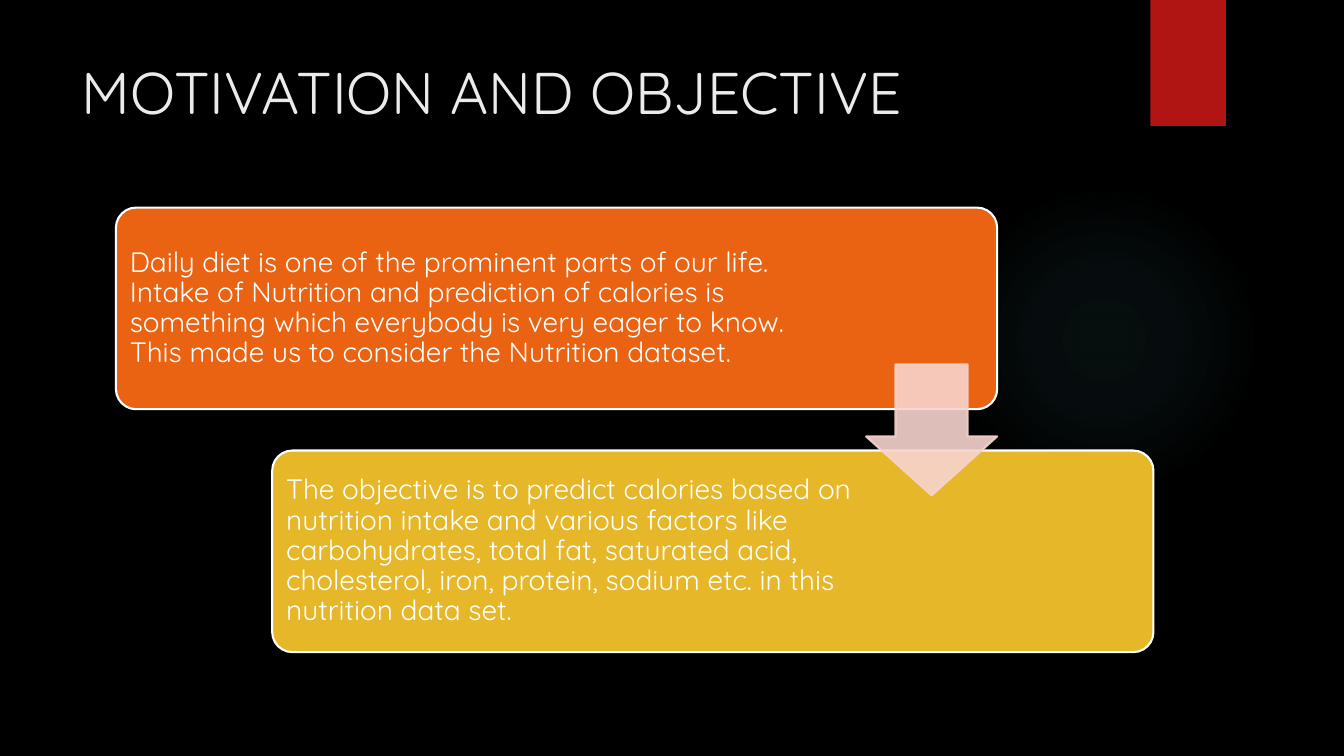
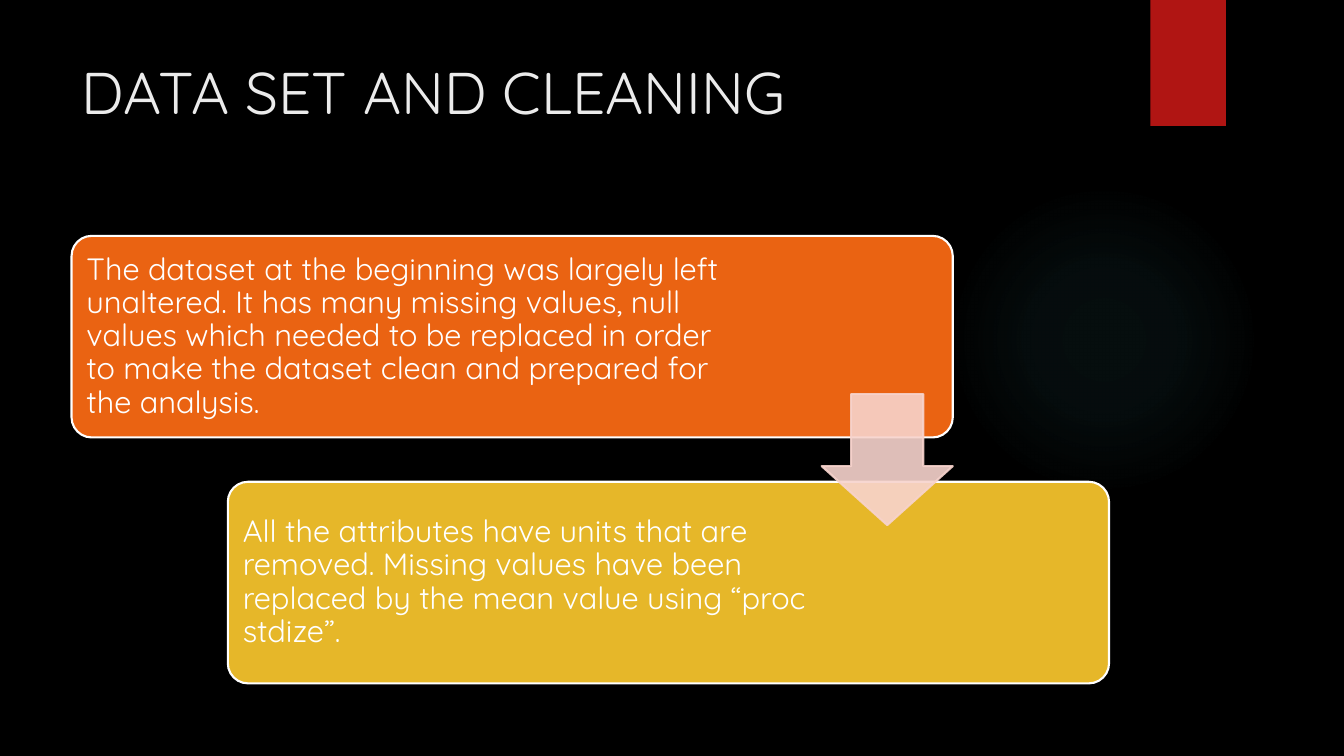
from dataclasses import dataclass

from pptx import Presentation
from pptx.dml.color import RGBColor
from pptx.enum import shapes, text
from pptx.oxml import parse_xml
from pptx.oxml.ns import nsdecls, qn
from pptx.oxml.xmlchemy import OxmlElement
from pptx.util import Inches, Pt


@dataclass(frozen=True)
class Theme:
    font: str = "Quicksand"
    background: str = "000000"
    title: str = "EBEBEB"
    body: str = "FFFFFF"
    outline: str = "FFFFFF"
    band: str = "B01513"
    glow: str = "50B9C1"
    arrow: str = "F7D3CC"
    cards: tuple = ("EA6312", "E6B729")
    title_size: int = 42
    line_width: float = 1.5


THEME = Theme()

SLIDES = [
    {
        "title": "MOTIVATION AND OBJECTIVE",
        "origin": (1.15, 2.06), "drop": 2.41, "size": 20, "inset": 0.08,
        "cards": [
            "Daily diet is one of the prominent parts of our life. Intake of Nutrition "
            "and prediction of calories is something which everybody is very eager to "
            "know. This made us to consider the Nutrition dataset.",
            "The objective is to predict calories based on nutrition intake and various "
            "factors like carbohydrates, total fat, saturated acid, cholesterol, iron, "
            "protein, sodium etc. in this nutrition data set.",
        ],
    },
    {
        "title": "DATA SET AND CLEANING",
        "origin": (0.71, 2.34), "drop": 2.44, "size": 22, "inset": 0.09,
        "cards": [
            "The dataset at the beginning was largely left unaltered. It has many "
            "missing values, null values which needed to be replaced in order to make "
            "the dataset clean and prepared for the analysis.",
            "All the attributes have units that are removed. Missing values have been "
            "replaced by the mean value using “proc stdize”.",
        ],
    },
]

TITLE_BOX = (0.71, 0.5, 10.29, 1.53)
GLOW_BOX = (9.41, 1.83, 3.08, 3.08)
BAND_BOX = (11.41, 0, 0.75, 1.25)
GLOW_STOPS = [(0, 7), (36, 6), (69, 0)]  # position and opacity, in percent
CARD_WIDTH, CARD_HEIGHT, CARD_SHIFT = 8.74, 2, 1.55
CORNER_INSET = 0.06  # text margin that the rounded corners already give
TEXT_WIDTHS = (6.68, 5.78)
ARROW_SIZE = 1.3


def color(value):
    return RGBColor.from_string(value)


def add_shape(slide, kind, box, fill=None, line=None):
    shape = slide.shapes.add_shape(kind, *map(Inches, box))
    shape.shadow.inherit = False
    if fill:
        shape.fill.solid()
        shape.fill.fore_color.rgb = color(fill)
    if line:
        shape.line.color.rgb = color(line)
        shape.line.width = Pt(THEME.line_width)
    else:
        shape.line.fill.background()
    return shape


def format_text(frame, size, ink):
    para = frame.paragraphs[0]
    para.alignment = text.PP_ALIGN.LEFT
    font = para.runs[0].font
    font.name, font.size = THEME.font, Pt(size)
    font.color.rgb = color(ink)
    return para


def set_opacity(shape, percent):
    for node in shape.element.spPr.iter(qn("a:srgbClr")):
        alpha = OxmlElement("a:alpha")
        alpha.set("val", str(percent * 1000))
        node.append(alpha)


def add_glow(slide):
    glow = add_shape(slide, shapes.MSO_SHAPE.OVAL, GLOW_BOX)
    stops = "".join(
        f'<a:gs pos="{place * 1000}"><a:srgbClr val="{THEME.glow}">'
        f'<a:alpha val="{opacity * 1000}"/></a:srgbClr></a:gs>'
        for place, opacity in GLOW_STOPS)
    gradient = parse_xml(
        f'<a:gradFill {nsdecls("a")}><a:gsLst>{stops}</a:gsLst><a:path path="circle">'
        '<a:fillToRect l="50000" t="50000" r="50000" b="50000"/></a:path></a:gradFill>')
    glow.element.spPr.find(qn("a:prstGeom")).addnext(gradient)
    return glow


def style_layout(layout, slide):
    """Set the shared title place and move glow and band from the slide to its layout."""
    layout.background.fill.solid()
    layout.background.fill.fore_color.rgb = color(THEME.background)
    title = layout.placeholders[0]
    title.left, title.top, title.width, title.height = map(Inches, TITLE_BOX)
    title.text_frame.vertical_anchor = text.MSO_ANCHOR.TOP
    decoration = [add_glow(slide),
                  add_shape(slide, shapes.MSO_SHAPE.RECTANGLE, BAND_BOX, THEME.band)]
    for index, shape in enumerate(decoration):
        shape.element.nvSpPr.cNvPr.set("id", str(100 + index))
        layout.shapes.element.insert(2 + index, shape.element)


def add_card(slide, content, index):
    left, top = content["origin"]
    box = (left + index * CARD_SHIFT, top + index * content["drop"],
           CARD_WIDTH, CARD_HEIGHT)
    card = add_shape(slide, shapes.MSO_SHAPE.ROUNDED_RECTANGLE, box,
                     THEME.cards[index], THEME.outline)
    card.adjustments[0] = 0.1
    frame = card.text_frame
    frame.word_wrap = True
    frame.vertical_anchor = text.MSO_ANCHOR.MIDDLE
    inset = content["inset"]
    frame.margin_left = frame.margin_top = frame.margin_bottom = Inches(inset)
    frame.margin_right = Inches(
        CARD_WIDTH - 2 * CORNER_INSET - TEXT_WIDTHS[index] + inset)
    frame.text = content["cards"][index]
    format_text(frame, content["size"], THEME.body).line_spacing = 0.9


def add_arrow(slide, content):
    """Centre the arrow on the gap, flush with the first card's right side."""
    left, top = content["origin"]
    gap_middle = top + (CARD_HEIGHT + content["drop"]) / 2
    box = (left + CARD_WIDTH - ARROW_SIZE, gap_middle - ARROW_SIZE / 2,
           ARROW_SIZE, ARROW_SIZE)
    arrow = add_shape(slide, shapes.MSO_SHAPE.DOWN_ARROW, box, THEME.arrow, THEME.arrow)
    arrow.adjustments[0], arrow.adjustments[1] = 0.55, 0.45
    set_opacity(arrow, 90)


def main():
    deck = Presentation()
    deck.slide_width, deck.slide_height = Inches(13.33), Inches(7.5)
    layout = deck.slide_layouts.get_by_name("Title Only")
    for number, content in enumerate(SLIDES):
        slide = deck.slides.add_slide(layout)
        if number == 0:
            style_layout(layout, slide)
        title = slide.shapes.title.text_frame
        title.text = content["title"]
        format_text(title, THEME.title_size, THEME.title)
        for index in range(len(content["cards"])):
            add_card(slide, content, index)
        add_arrow(slide, content)
    deck.save("out.pptx")


if __name__ == "__main__":
    main()
